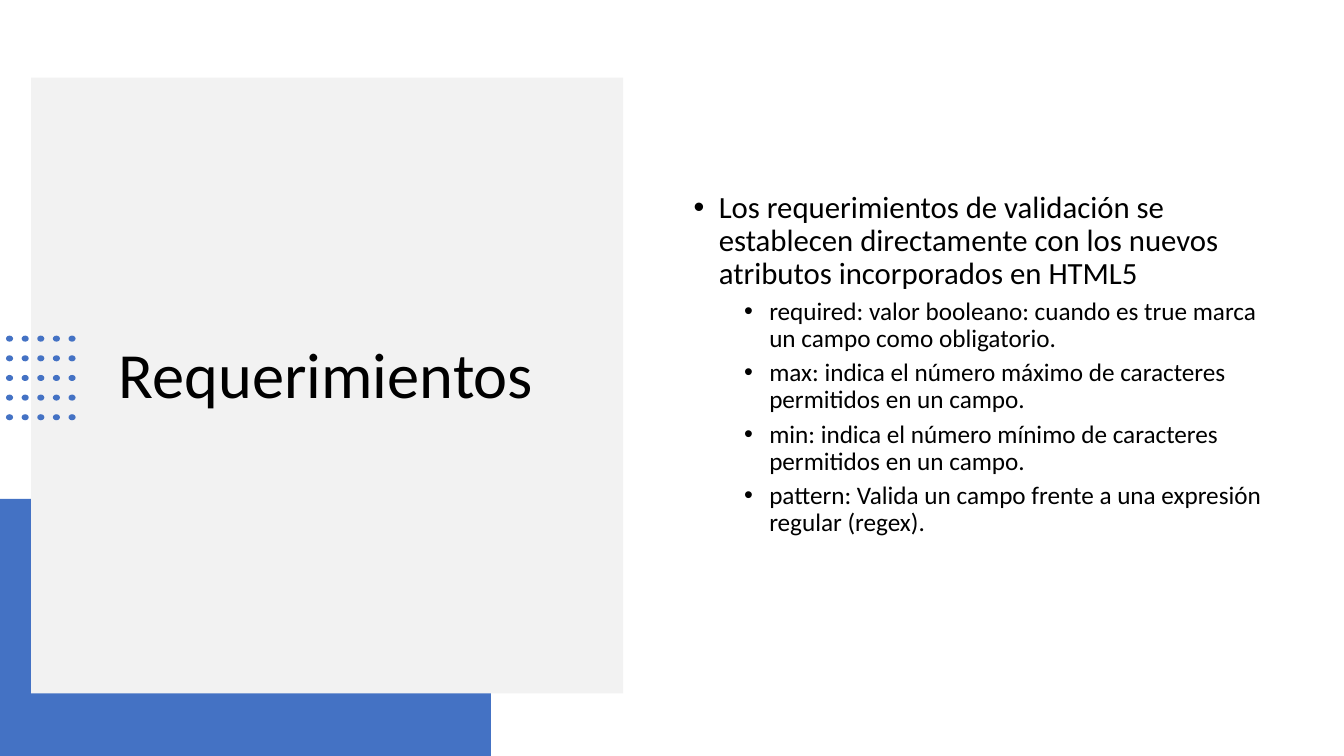
from itertools import product

from lxml.etree import SubElement
from pptx import Presentation
from pptx.dml.color import RGBColor
from pptx.enum.shapes import MSO_SHAPE as Shape
from pptx.enum.text import MSO_ANCHOR as Anchor, MSO_AUTO_SIZE as AutoSize, PP_ALIGN as Align
from pptx.oxml.ns import qn
from pptx.util import Inches, Pt

BLUE, GREY, BLACK = "4472C4", "F2F2F2", "000000"
INSET = 0.07

INTRO = ("Los requerimientos de validación se establecen directamente "
         "con los nuevos atributos incorporados en HTML5")
ATTRIBUTES = [
    "required: valor booleano: cuando es true marca un campo como obligatorio.",
    "max: indica el número máximo de caracteres permitidos en un campo.",
    "min: indica el número mínimo de caracteres permitidos en un campo.",
    "pattern: Valida un campo frente a una expresión regular (regex).",
]


def colour(value):
    return RGBColor.from_string(value)


def add_filled(shapes, kind, left, top, width, height, fill):
    shape = shapes.add_shape(kind, Inches(left), Inches(top), Inches(width), Inches(height))
    shape.shadow.inherit = False
    shape.fill.solid()
    shape.fill.fore_color.rgb = colour(fill)
    shape.line.fill.background()
    return shape


def add_dot_grid(page, left, top, step_x, step_y, count):
    group = page.shapes.add_group_shape()
    for column, row in product(range(count), repeat=2):
        add_filled(group.shapes, Shape.OVAL, left + column * step_x, top + row * step_y,
                   0.07, 0.06, BLUE)


def set_frame(box, bottom=INSET):
    frame = box.text_frame
    frame.word_wrap = True
    frame.auto_size = AutoSize.NONE
    frame.vertical_anchor = Anchor.MIDDLE
    frame.margin_left = frame.margin_top = frame.margin_right = Inches(INSET)
    frame.margin_bottom = Inches(bottom)
    return frame


def write(para, text, size, before=0, indent=None, level=0):
    para.alignment = Align.LEFT
    para.level = level
    para.line_spacing = 0.9
    para.space_before = Pt(before)
    if indent is not None:
        properties = para._p.get_or_add_pPr()
        properties.set("marL", str(Inches(indent)))
        properties.set("indent", str(Inches(-0.25)))
        SubElement(properties, qn("a:buFont")).set("typeface", "Arial")
        SubElement(properties, qn("a:buChar")).set("char", "•")
    span = para.add_run()
    span.text = text
    span.font.name = "Calibri"
    span.font.size = Pt(size)
    span.font.color.rgb = colour(BLACK)


def place_title(page, text):
    title = page.shapes.title
    title.left, title.top = Inches(1.11), Inches(1.47)
    title.width, title.height = Inches(4.59), Inches(4.56)
    write(set_frame(title).paragraphs[0], text, 46)
    # Bring the title in front of the panel
    page.shapes.element.append(title.element)


def add_requirements(page):
    box = page.shapes.add_textbox(Inches(6.81), Inches(0.82), Inches(5.87), Inches(5.86))
    # The deeper bottom margin raises the centred list
    frame = set_frame(box, bottom=0.34)
    write(frame.paragraphs[0], INTRO, 22, indent=0.25)
    for attribute in ATTRIBUTES:
        write(frame.add_paragraph(), attribute, 18, before=5, indent=0.75, level=1)


def main():
    deck = Presentation()
    deck.slide_width, deck.slide_height = Inches(13.33), Inches(7.5)
    page = deck.slides.add_slide(deck.slide_layouts[5])

    # Blue corner and grey panel
    add_filled(page.shapes, Shape.RECTANGLE, 0, 4.95, 4.87, 2.55, BLUE)
    add_filled(page.shapes, Shape.RECTANGLE, 0.31, 0.77, 5.87, 6.11, GREY)

    # Title and dots over the panel
    place_title(page, "Requerimientos")
    add_dot_grid(page, 0.06, 3.33, 0.155, 0.195, 5)

    # Requirements list
    add_requirements(page)
    deck.save("out.pptx")


if __name__ == "__main__":
    main()
